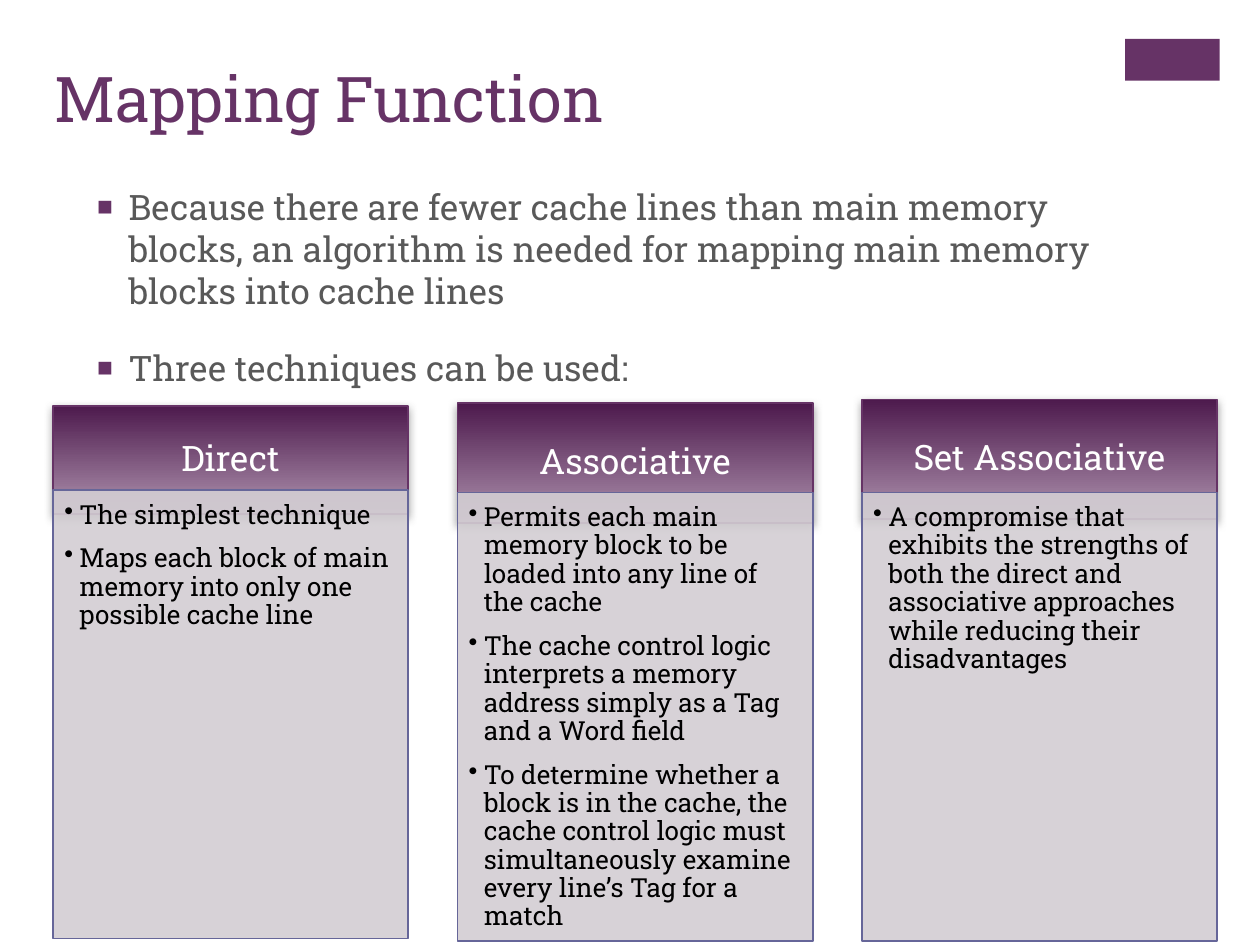
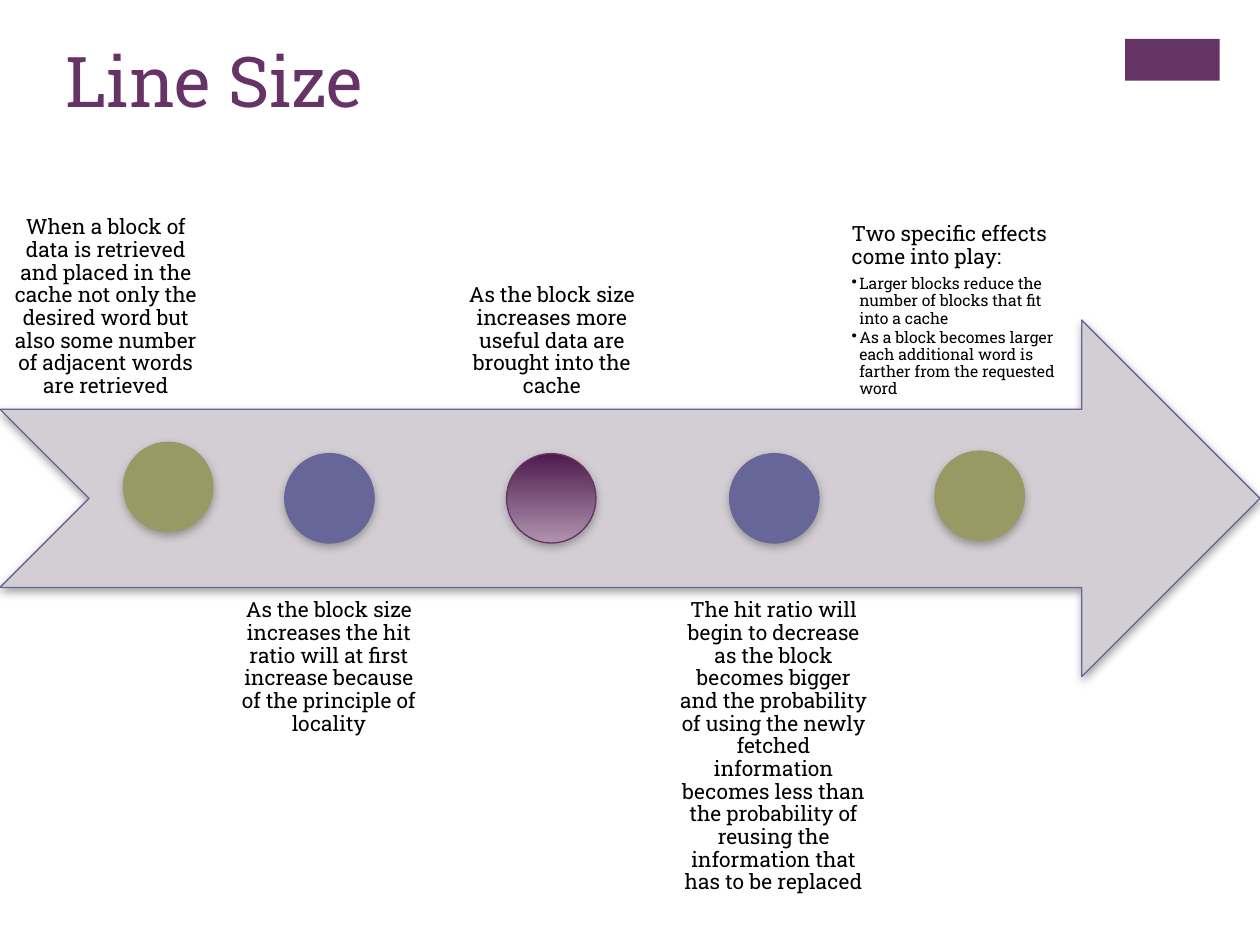
from lxml.etree import SubElement
from pptx import Presentation
from pptx.dml.color import RGBColor
from pptx.enum.shapes import MSO_SHAPE
from pptx.enum.text import MSO_ANCHOR, MSO_AUTO_SIZE, PP_ALIGN
from pptx.oxml import parse_xml
from pptx.oxml.ns import nsdecls, qn
from pptx.util import Inches, Pt

FONT = "Roboto Slab"
PLUM = RGBColor(0x66, 0x33, 0x66)
DARK_PLUM = RGBColor(0x4D, 0x1A, 0x4D)
LIGHT_PLUM = RGBColor(0xAF, 0x94, 0xAF)
PALE = RGBColor(0xD3, 0xCE, 0xD3)
BLUE = RGBColor(0x66, 0x66, 0x99)
OLIVE = RGBColor(0x99, 0x99, 0x66)
GREY = RGBColor(0x59, 0x59, 0x59)
WHITE = RGBColor(0xFF, 0xFF, 0xFF)
BLACK = RGBColor(0, 0, 0)
PLUM_FADE = [DARK_PLUM, LIGHT_PLUM]


def paint(shape, fill, line, width, shadow=True):
    shape.shadow.inherit = False
    if isinstance(fill, RGBColor):
        shape.fill.solid()
        shape.fill.fore_color.rgb = fill
    else:
        shape.fill.gradient()
        shape.fill.gradient_angle = 270
        for stop, color in zip(shape.fill.gradient_stops, fill):
            stop.color.rgb = color
    shape.line.color.rgb = line
    shape.line.width = Pt(width)
    if shadow:
        effects = shape.element.spPr.find(qn("a:effectLst"))
        effects.append(parse_xml(
            f'<a:outerShdw {nsdecls("a")} blurRad="{Pt(5)}" dist="{Pt(2)}" dir="5400000" '
            'rotWithShape="0"><a:srgbClr val="808080"><a:alpha val="75000"/></a:srgbClr>'
            '</a:outerShdw>'))


def write(frame, text, size, color, align=PP_ALIGN.LEFT, spacing=0.9, before=0, after=0,
          indent=0, bullet=None, bullet_color=None):
    para = frame.paragraphs[0] if not frame.text else frame.add_paragraph()
    para.text = text
    para.alignment = align
    if bullet:
        props = para._p.get_or_add_pPr()
        props.set("marL", str(Inches(indent)))
        props.set("indent", str(-Inches(indent)))
        if bullet_color:
            SubElement(SubElement(props, qn("a:buClr")), qn("a:srgbClr"), val=str(bullet_color))
            SubElement(props, qn("a:buSzPct"), val="75000")
        SubElement(props, qn("a:buChar"), char=bullet)
    para.line_spacing = spacing
    para.space_before = Pt(before)
    para.space_after = Pt(after)
    para.font.name = FONT
    para.font.size = Pt(size)
    para.font.color.rgb = color


deck = Presentation()
deck.slide_width = Inches(10)
deck.slide_height = Inches(7.5)

mapping_page = deck.slides.add_slide(deck.slide_layouts[1])
line_page = deck.slides.add_slide(deck.slide_layouts[5])

badge = mapping_page.shapes.add_shape(
    MSO_SHAPE.RECTANGLE, Inches(8.93), Inches(0.31), Inches(0.75), Inches(0.33))
paint(badge, PLUM, PLUM, 0.75, shadow=False)
badge.line.fill.background()
deck.slide_master.shapes.element.append(badge.element)

titles = [
    (mapping_page, "Mapping Function", 36, (0.33, 0.42, 8.26, 1.05)),
    (line_page, "Line Size", 40, (0.42, 0.25, 3.08, 1.5)),
]
for page, text, size, place in titles:
    title = page.shapes.title
    title.left, title.top, title.width, title.height = map(Inches, place)
    title.text_frame.auto_size = MSO_AUTO_SIZE.NONE
    title.text_frame.vertical_anchor = MSO_ANCHOR.TOP
    write(title.text_frame, text, size, PLUM, spacing=1.0)

body = mapping_page.placeholders[1]
body.left, body.top, body.width, body.height = map(Inches, (0.67, 1.42, 8.26, 2.08))
body.text_frame.auto_size = MSO_AUTO_SIZE.NONE
points = [
    "Because there are fewer cache lines than main memory blocks, an algorithm is needed "
    "for mapping main memory blocks into cache lines",
    "Three techniques can be used:",
]
for index, point in enumerate(points):
    write(body.text_frame, point, 20, GREY, spacing=1.0, before=20 if index else 0,
          indent=0.25, bullet="■", bullet_color=PLUM)

techniques = [
    ("Direct", 3.22, 0.86, 3.89, [
        "The simplest technique",
        "Maps each block of main memory into only one possible cache line"]),
    ("Associative", 3.2, 0.95, 3.91, [
        "Permits each main memory block to be loaded into any line of the cache",
        "The cache control logic interprets a memory address simply as a Tag and a Word field",
        "To determine whether a block is in the cache, the cache control logic must "
        "simultaneously examine every line’s Tag for a match"]),
    ("Set Associative", 3.17, 0.95, 3.91, [
        "A compromise that exhibits the strengths of both the direct and associative "
        "approaches while reducing their disadvantages"]),
]
for column, (name, head_top, head_height, list_top, details) in enumerate(techniques):
    left = Inches(0.42 + column * 3.21)
    head = mapping_page.shapes.add_shape(
        MSO_SHAPE.RECTANGLE, left, Inches(head_top), Inches(2.82), Inches(head_height))
    paint(head, PLUM_FADE, PLUM, 1)
    head.text_frame.vertical_anchor = MSO_ANCHOR.MIDDLE
    write(head.text_frame, name, 20, WHITE, PP_ALIGN.CENTER)

    panel = mapping_page.shapes.add_shape(
        MSO_SHAPE.RECTANGLE, left, Inches(list_top), Inches(2.82), Inches(3.56))
    paint(panel, PALE, BLUE, 1, shadow=False)
    panel_color = panel.element.spPr.find(qn("a:solidFill")).find(qn("a:srgbClr"))
    SubElement(panel_color, qn("a:alpha"), val="90000")
    frame = panel.text_frame
    frame.vertical_anchor = MSO_ANCHOR.TOP
    frame.margin_left = frame.margin_top = Inches(0.09)
    frame.margin_right, frame.margin_bottom = Inches(0.12), Inches(0.13)
    for detail in details:
        write(frame, detail, 15, BLACK, after=8.7, indent=0.12, bullet="•")

arrow = line_page.shapes.add_shape(
    MSO_SHAPE.NOTCHED_RIGHT_ARROW, Inches(0), Inches(2.54), Inches(10), Inches(2.83))
paint(arrow, PALE, BLUE, 0.75)

ABOVE, BELOW = 0.42, 4.67
steps = [
    (0, ABOVE, 1.68, 0.98, 3.51, OLIVE, OLIVE,
     "When a block of data is retrieved and placed in the cache not only the desired word "
     "but also some number of adjacent words are retrieved", []),
    (1.77, BELOW, 1.68, 2.26, 3.6, BLUE, BLUE,
     "As the block size increases the hit ratio will at first increase because of the "
     "principle of locality", []),
    (3.54, ABOVE, 1.68, 4.02, 3.6, PLUM_FADE, PLUM,
     "As the block size increases more useful data are brought into the cache", []),
    (5.3, BELOW, 1.68, 5.79, 3.6, BLUE, BLUE,
     "The hit ratio will begin to decrease as the block becomes bigger and the probability "
     "of using the newly fetched information becomes less than the probability of reusing "
     "the information that has to be replaced", []),
    (6.67, ABOVE, 1.93, 7.42, 3.58, OLIVE, OLIVE,
     "Two specific effects come into play:", [
         "Larger blocks reduce the number of blocks that fit into a cache",
         "As a block becomes larger each additional word is farther from the requested word"]),
]
for left, top, width, dot_left, dot_top, fill, line, caption, effects in steps:
    box = line_page.shapes.add_textbox(Inches(left), Inches(top), Inches(width), Inches(2.83))
    frame = box.text_frame
    frame.word_wrap = True
    frame.vertical_anchor = MSO_ANCHOR.BOTTOM if top == ABOVE else MSO_ANCHOR.TOP
    frame.margin_left = frame.margin_right = Inches(0.09)
    frame.margin_top = frame.margin_bottom = Inches(0.09)
    write(frame, caption, 12, BLACK, PP_ALIGN.LEFT if effects else PP_ALIGN.CENTER, after=4.2)
    for effect in effects:
        write(frame, effect, 9, BLACK, after=1.35, indent=0.06, bullet="•")

    dot = line_page.shapes.add_shape(
        MSO_SHAPE.OVAL, Inches(dot_left), Inches(dot_top), Inches(0.71), Inches(0.71))
    paint(dot, fill, line, 0.75)

deck.save("out.pptx")
